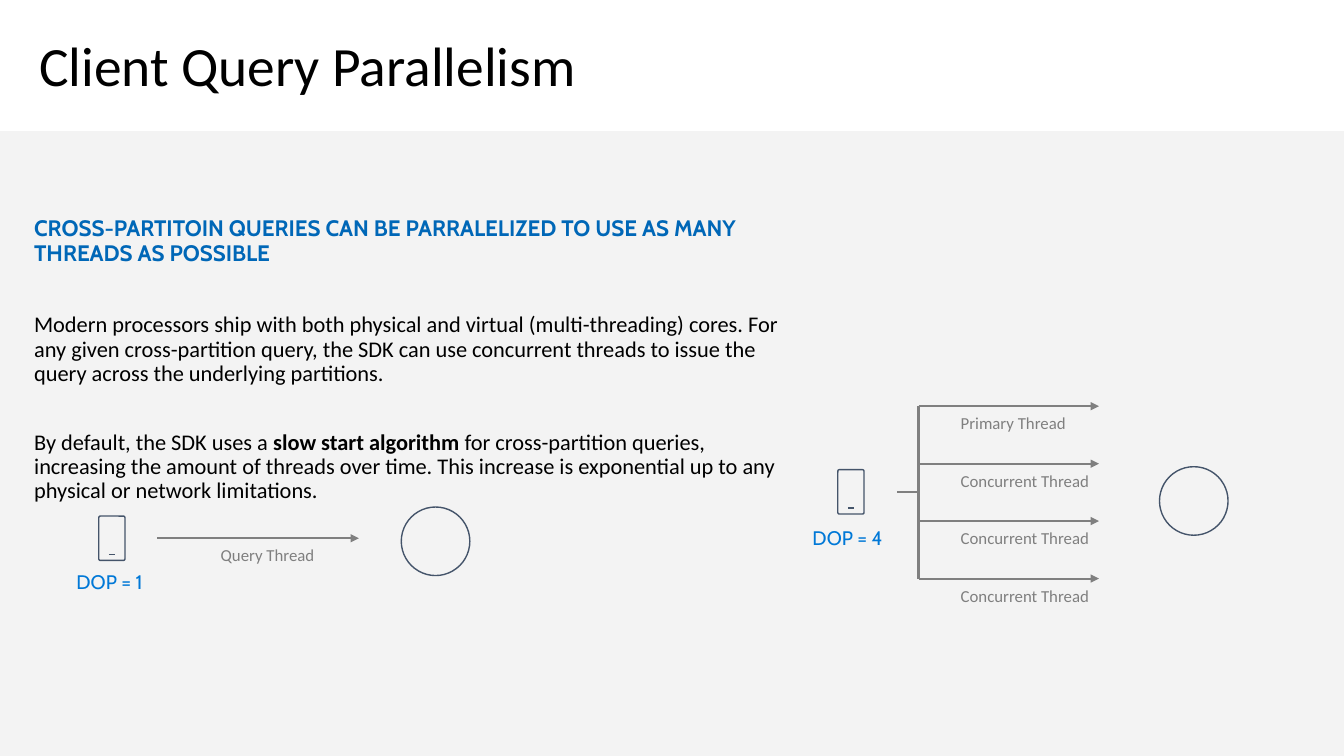
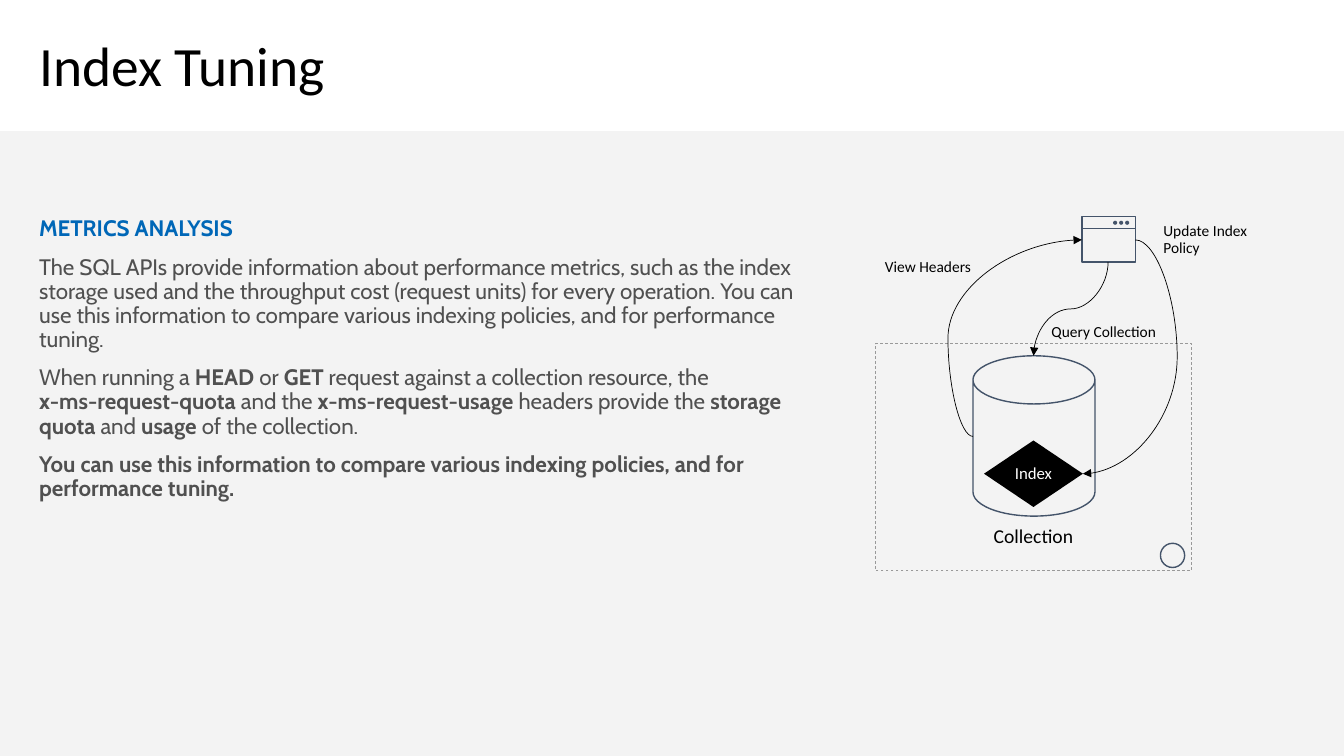
from dataclasses import dataclass
from lxml.etree import SubElement
from pptx import Presentation
from pptx.dml.color import RGBColor
from pptx.enum.dml import MSO_LINE
from pptx.enum.shapes import MSO_CONNECTOR as Route, MSO_SHAPE as Shape
from pptx.enum.text import MSO_ANCHOR as Anchor, PP_ALIGN as Align
from pptx.oxml.ns import qn
from pptx.util import Inches, Pt


@dataclass(frozen=True)
class Theme:
    text: str = "Calibri"
    accent: str = "Cabin"
    black: str = "000000"
    white: str = "FFFFFF"
    band: str = "F2F2F2"
    band_opacity: int = 89
    heading: str = "0067B7"
    dop: str = "0078D7"
    body: str = "505050"
    thread: str = "7F7F7F"
    icon: str = "44546A"
    frame: str = "999999"
    title_size: float = 39.6
    body_size: int = 16
    name_size: int = 14
    label_size: int = 12
    note_size: int = 11


theme = Theme()

PARALLELISM = "Client Query Parallelism"
PARALLELISM_BODY = [
    ("CROSS-PARTITOIN QUERIES CAN BE PARRALELIZED TO USE AS MANY THREADS AS POSSIBLE",
     dict(font=theme.accent, color=theme.heading, bold=True, after=24)),
    ("Modern processors ship with both physical and virtual (multi-threading) cores. "
     "For any given cross-partition query, the SDK can use concurrent threads to issue "
     "the query across the underlying partitions.", dict(after=22)),
    ("By default, the SDK uses a **slow start algorithm **for cross-partition queries, "
     "increasing the amount of threads over time. This increase is exponential up to any "
     "physical or network limitations.", {}),
]
QUERY_THREAD = "Query Thread"
THREADS = ["Primary Thread"] + ["Concurrent Thread"] * 3
SINGLE_DOP, MULTIPLE_DOP = "DOP = 1", "DOP = 4"

TUNING = "Index Tuning"
TUNING_BODY = [
    ("METRICS ANALYSIS", dict(color=theme.heading, bold=True)),
    ("The SQL APIs provide information about performance metrics, such as the index "
     "storage used and the throughput cost (request units) for every operation. You can "
     "use this information to compare various indexing policies, and for performance "
     "tuning.", {}),
    ("When running a **HEAD** or **GET** request against a collection resource, the\n"
     "**x-ms-request-quota** and the **x-ms-request-usage** headers provide the "
     "**storage quota** and **usage** of the collection.", {}),
    ("You can use this information to compare various indexing policies, and for "
     "performance tuning.", dict(bold=True)),
]
FLOW_NOTES = [
    ("Update Index\nPolicy", (11.44, 2.11, 1.1, 0.54), Align.LEFT),
    ("Query Collection", (10.33, 3.11, 1.28, 0.37), Align.LEFT),
    ("View Headers", (8.65, 2.47, 1.08, 0.37), Align.RIGHT),
]


def rgb(color):
    return RGBColor.from_string(color)


def write(frame, paragraphs, font=theme.text, size=theme.label_size, color=theme.black,
          bold=False, align=Align.LEFT, anchor=Anchor.TOP, insets=(0.1, 0.05),
          wrap=True, spacing=0.9, before=0, after=0):
    frame.word_wrap = wrap
    frame.vertical_anchor = anchor
    frame.margin_left = frame.margin_right = Inches(insets[0])
    frame.margin_top = frame.margin_bottom = Inches(insets[1])
    if isinstance(paragraphs, str):
        paragraphs = [(paragraphs, {})]
    base = dict(font=font, color=color, bold=bold, after=after)
    for number, (text, changes) in enumerate(paragraphs):
        style = base | changes
        paragraph = frame.add_paragraph() if number else frame.paragraphs[0]
        paragraph.alignment = align
        paragraph.line_spacing = spacing
        paragraph.space_before, paragraph.space_after = Pt(before), Pt(style["after"])
        for part, words in enumerate(text.split("**")):
            for line, piece in enumerate(words.split("\n")):
                if line:
                    paragraph.add_line_break()
                if piece:
                    run = paragraph.add_run()
                    run.text = piece
                    run.font.name, run.font.size = style["font"], Pt(size)
                    run.font.bold = style["bold"] or part % 2 == 1
                    run.font.color.rgb = rgb(style["color"])


def add_text(slide, box, paragraphs, **style):
    write(slide.shapes.add_textbox(*map(Inches, box)).text_frame, paragraphs, **style)


def add_shape(slide, kind, box, fill=None, line=None, width=1):
    shape = slide.shapes.add_shape(kind, *map(Inches, box))
    shape.shadow.inherit = False
    if fill:
        shape.fill.solid()
        shape.fill.fore_color.rgb = rgb(fill)
    else:
        shape.fill.background()
    if line:
        shape.line.color.rgb = rgb(line)
        shape.line.width = Pt(width)
    else:
        shape.line.fill.background()
    return shape


def add_line(slide, start, end, color=theme.thread, width=1.5, arrow=False,
             route=Route.STRAIGHT):
    line = slide.shapes.add_connector(route, *map(Inches, (*start, *end)))
    line.line.color.rgb = rgb(color)
    line.line.width = Pt(width)
    properties = line.element.spPr
    if arrow:
        SubElement(properties.find(qn("a:ln")), qn("a:tailEnd"), type="triangle")
    SubElement(properties, qn("a:effectLst"))
    return line


def add_curve(slide, source, target, start, end, bend, vertical=False):
    if vertical:
        mid_x, mid_y = (start[0] + end[0]) / 2, (start[1] + end[1]) / 2
        half_x, half_y = (end[1] - start[1]) / 2, (start[0] - end[0]) / 2
        start, end = (mid_x - half_x, mid_y - half_y), (mid_x + half_x, mid_y + half_y)
    curve = add_line(slide, start, end, theme.black, 0.5, True, Route.CURVE)
    curve.begin_connect(*source)
    curve.end_connect(*target)
    curve.begin_x, curve.begin_y = map(Inches, start)
    curve.end_x, curve.end_y = map(Inches, end)
    properties = curve.element.spPr
    if vertical:
        properties.find(qn("a:xfrm")).set("rot", str(90 * 60000))
    guides = properties.find(qn("a:prstGeom")).get_or_add_avLst()
    SubElement(guides, qn("a:gd"), name="adj1", fmla=f"val {round(bend * 100000)}")


def add_phone(slide, x, y):
    phone = add_shape(slide, Shape.ROUNDED_RECTANGLE, (x, y, 0.26, 0.44), line=theme.icon)
    phone.adjustments[0] = 0.06
    add_line(slide, (x + 0.1, y + 0.38), (x + 0.16, y + 0.38), theme.icon, 1)


def add_database(slide, x, y, size=0.68):
    add_shape(slide, Shape.OVAL, (x, y, size, size), line=theme.icon)


def add_thread(slide, label, x, y, length, label_x):
    add_line(slide, (x, y), (x + length, y), arrow=True)
    add_text(slide, (label_x, y, 1.71, 0.38), label, color=theme.thread,
             insets=(0.1, 0.1), after=6)


def add_dop(slide, label, x, y):
    add_text(slide, (x, y, 0.95, 0.34), label, font=theme.accent, size=theme.name_size,
             color=theme.dop, wrap=False, spacing=1)


def add_slide(deck, title, body, body_x, **body_style):
    slide = deck.slides.add_slide(deck.slide_layouts[6])
    band = add_shape(slide, Shape.RECTANGLE, (0, 1.3, 13.33, 6.2), theme.band)
    tint = band.element.spPr.find(qn("a:solidFill"))[0]
    SubElement(tint, qn("a:alpha"), val=str(theme.band_opacity * 1000))
    add_text(slide, (0.29, 0.32, 7.27, 0.72), title, size=theme.title_size,
             anchor=Anchor.MIDDLE)
    add_text(slide, (body_x, 2.11, 7.69, 3), body, size=theme.body_size, before=10,
             **body_style)
    return slide


def build_parallelism(deck):
    slide = add_slide(deck, PARALLELISM, PARALLELISM_BODY, 0.24)
    add_database(slide, 3.98, 5.03)
    add_phone(slide, 0.98, 5.12)
    add_thread(slide, QUERY_THREAD, 1.56, 5.34, 2, 2.09)
    add_dop(slide, SINGLE_DOP, 0.66, 5.6)

    add_database(slide, 11.5, 4.63)
    add_phone(slide, 8.31, 4.66)
    add_dop(slide, MULTIPLE_DOP, 7.96, 5.17)
    trunk, top, pitch = 9.11, 4.03, 0.57
    for row, label in enumerate(THREADS):
        add_thread(slide, label, trunk, top + row * pitch, 1.79, 9.43)
    add_line(slide, (trunk, top), (trunk, top + (len(THREADS) - 1) * pitch))
    add_line(slide, (trunk, 4.88), (8.9, 4.88))


def build_tuning(deck):
    slide = add_slide(deck, TUNING, TUNING_BODY, 0.29, font=theme.accent, color=theme.body)
    add_text(slide, (9.51, 5.12, 1.48, 0.54), "Collection", size=theme.name_size,
             align=Align.CENTER, insets=(0.2, 0.16), after=6)
    window = add_shape(slide, Shape.RECTANGLE, (10.73, 2.15, 0.53, 0.45), line=theme.icon)
    add_line(slide, (10.73, 2.27), (11.26, 2.27), theme.icon, 1)
    for dot in range(3):
        add_shape(slide, Shape.OVAL, (11.04 + dot * 0.06, 2.19, 0.04, 0.04), theme.icon)
    account = add_shape(slide, Shape.RECTANGLE, (8.68, 3.41, 3.14, 2.25),
                        line=theme.frame, width=0.5)
    account.line.dash_style = MSO_LINE.DASH
    add_database(slide, 11.51, 5.39, 0.24)
    collection = add_shape(slide, Shape.CAN, (9.65, 3.53, 1.21, 1.59), line=theme.icon)
    collection.adjustments[0] = 0.395
    index = add_shape(slide, Shape.FLOWCHART_DECISION, (9.76, 4.37, 0.98, 0.66), theme.black)
    write(index.text_frame, "Index", color=theme.white, align=Align.CENTER,
          anchor=Anchor.MIDDLE, insets=(0, 0))
    add_curve(slide, (window, 3), (index, 3), (11.26, 2.38), (10.74, 4.7), -0.8)
    add_curve(slide, (window, 2), (collection, 1), (10.99, 2.6), (10.25, 3.53), 0.5,
              vertical=True)
    add_curve(slide, (collection, 2), (window, 1), (9.65, 4.33), (10.73, 2.38), -0.23)
    for note, box, align in FLOW_NOTES:
        add_text(slide, box, note, size=theme.note_size, align=align, wrap=False,
                 anchor=Anchor.MIDDLE, insets=(0.1, 0.1), after=6)


deck = Presentation()
deck.slide_width, deck.slide_height = Inches(13.33), Inches(7.5)
build_parallelism(deck)
build_tuning(deck)
deck.save("out.pptx")
